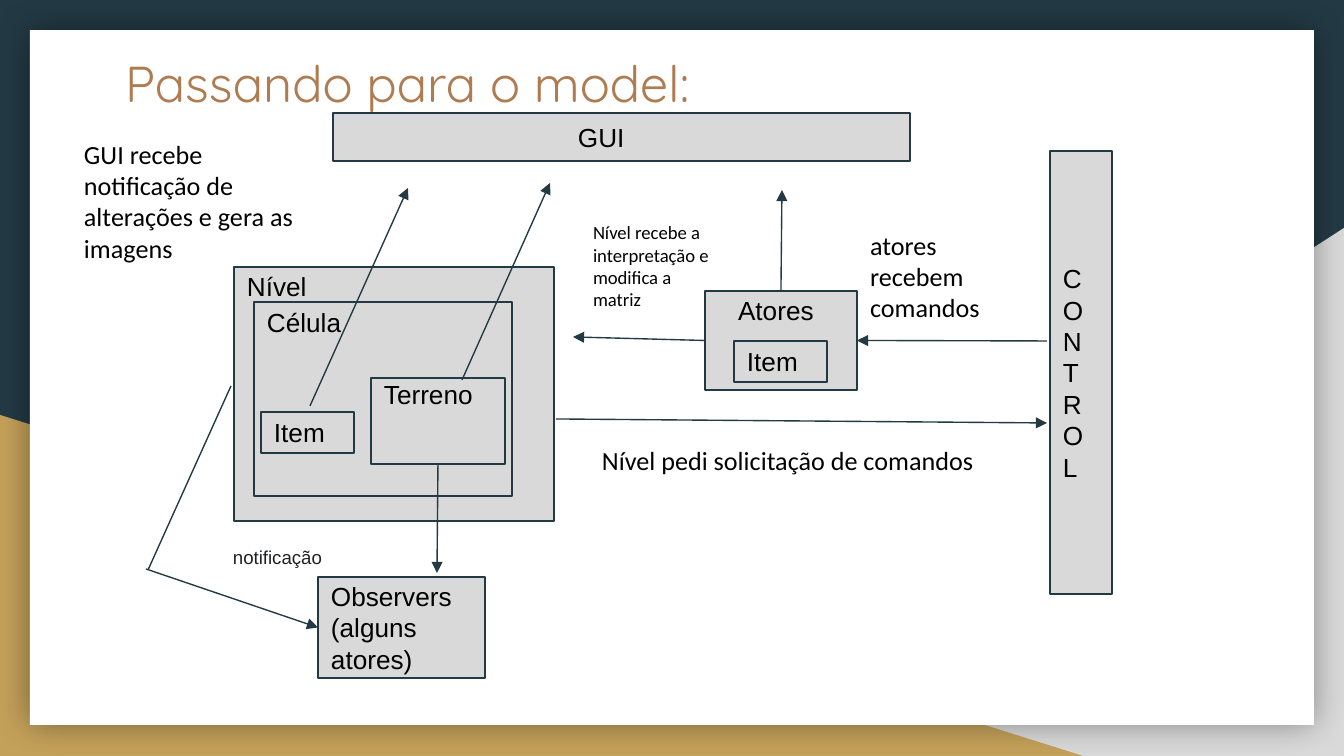
from dataclasses import dataclass

from lxml.etree import SubElement
from pptx import Presentation
from pptx.dml.color import RGBColor
from pptx.enum.shapes import MSO_CONNECTOR, MSO_SHAPE
from pptx.enum.text import MSO_ANCHOR, PP_ALIGN
from pptx.oxml.ns import qn
from pptx.util import Pt

SCALE = 9144000 / 1344  # EMU per px
TOP, LEFT, BOTTOM, RIGHT = 0, 1, 2, 3


@dataclass(frozen=True)
class Theme:
    dark: str = "233A44"
    gray: str = "D9D9D9"
    gold: str = "C4A15A"
    white: str = "FFFFFF"
    black: str = "000000"
    brown: str = "AF7B51"
    soft: str = "202124"
    head: float = 27
    body: float = 14
    small: float = 10
    rule: float = 0.75
    inset: int = 13


def emu(px):
    return round(px * SCALE)


def color(code):
    return RGBColor.from_string(code)


def apply(target, values):
    for name, value in values.items():
        setattr(target, name, value)


class Board:
    def __init__(self, slide, theme):
        self.slide, self.theme = slide, theme
        fill = slide.background.fill
        fill.solid()
        fill.fore_color.rgb = color(theme.dark)

    def shape(self, kind, area, fill):
        form = self.slide.shapes.add_shape(kind, *map(emu, area))
        form.shadow.inherit = False
        form.fill.solid()
        form.fill.fore_color.rgb = color(fill)
        form.line.fill.background()
        return form

    def wedge(self, area, fill, flip=False):
        form = self.shape(MSO_SHAPE.RIGHT_TRIANGLE, area, fill)
        if flip:
            form.element.spPr.get_or_add_xfrm().set("flipH", "1")

    def panel(self, area):
        form = self.shape(MSO_SHAPE.RECTANGLE, area, self.theme.white)
        effects = form.element.spPr.find(qn("a:effectLst"))
        glow = SubElement(effects, qn("a:outerShdw"), blurRad=str(Pt(18)),
                          dist="0", dir="0", algn="ctr", rotWithShape="0")
        tint = SubElement(glow, qn("a:srgbClr"), val=self.theme.black)
        SubElement(tint, qn("a:alpha"), val="40000")

    def letter(self, frame, lines, font, size, ink, left=None, top=None, gap=None):
        pad = emu(self.theme.inset)
        apply(frame, {
            "word_wrap": True,
            "vertical_anchor": MSO_ANCHOR.TOP,
            "margin_left": pad if left is None else emu(left),
            "margin_top": pad if top is None else emu(top),
            "margin_right": pad,
            "margin_bottom": pad,
        })
        for i, line in enumerate(lines):
            para = frame.paragraphs[0] if i == 0 else frame.add_paragraph()
            apply(para, {"alignment": PP_ALIGN.LEFT, "line_spacing": gap})
            run = para.add_run()
            run.text = line
            apply(run.font, {"name": font, "size": Pt(size)})
            run.font.color.rgb = color(ink)

    def box(self, area, *lines, left=None, top=None):
        """Box with centred text, or text pinned at the given top inset."""
        look = self.theme
        form = self.shape(MSO_SHAPE.RECTANGLE, area, look.gray)
        form.line.color.rgb = color(look.dark)
        form.line.width = Pt(look.rule)
        self.letter(form.text_frame, lines, "Arial", look.body, look.black, left, top)
        if top is None:
            form.text_frame.vertical_anchor = MSO_ANCHOR.MIDDLE
        return form

    def text(self, area, words, size=None, font="Calibri", ink=None, gap=None):
        label = self.slide.shapes.add_textbox(*map(emu, area))
        self.letter(label.text_frame, [words], font, size or self.theme.body,
                    ink or self.theme.black, gap=gap)

    def line(self, start, end, arrow=True):
        """Each end is an (x, y) point or a (box, side) pair."""
        free = [isinstance(spot[0], int) for spot in (start, end)]
        a = start if free[0] else (0, 0)
        b = end if free[1] else (0, 0)
        link = self.slide.shapes.add_connector(
            MSO_CONNECTOR.STRAIGHT, *map(emu, (*a, *b)))
        if not free[0]:
            link.begin_connect(*start)
        if not free[1]:
            link.end_connect(*end)
        link.line.color.rgb = color(self.theme.dark)
        link.line.width = Pt(self.theme.rule)
        props = link.element.spPr
        if arrow:
            SubElement(props.find(qn("a:ln")), qn("a:tailEnd"), type="triangle")
        SubElement(props, qn("a:effectLst"))


def main():
    deck = Presentation()
    apply(deck, {"slide_width": emu(1344), "slide_height": emu(756)})
    look = Theme()
    board = Board(deck.slides.add_slide(deck.slide_layouts[6]), look)

    # Backdrop and title
    board.wedge((527, 228, 817, 528), look.gray, flip=True)
    board.wedge((0, 415, 1083, 341), look.gold)
    board.panel((30, 30, 1284, 695))
    board.text((112, 39, 1103, 140), "Passando para o model:",
               look.head, "Quicksand", look.brown)

    # Model boxes, outer to inner
    board.box((234, 267, 320, 254), "Nível", top=3)
    board.box((254, 302, 258, 194), "Célula", top=4)
    ground = board.box((371, 378, 134, 86), "Terreno", top=0)
    board.box((261, 412, 93, 41), "Item")
    watch = board.box((318, 577, 167, 101), "Observers", "(alguns atores)")

    # View, actors and control
    board.box((333, 113, 577, 48), "GUI", left=245)
    cast = board.box((705, 291, 152, 99), "Atores", left=33, top=3)
    board.box((734, 341, 93, 41), "Item")
    board.box((1050, 151, 62, 443), *"CONTROL")

    # Notices to the observers
    board.line((ground, BOTTOM), (437, 573))
    board.line((148, 570), (231, 386), arrow=False)
    board.line((146, 569), (watch, LEFT))

    # Notices to the view
    board.line((310, 406), (408, 188))
    board.line((462, 380), (550, 183))
    board.line((cast, TOP), (782, 190))

    # Commands
    board.line((1047, 341), (cast, RIGHT))
    board.line((cast, LEFT), (573, 337))
    board.line((556, 419), (1047, 423))

    # Captions
    board.text((220, 526, 258, 89), "notificação", look.small, "Arial",
               look.soft, gap=1.29)
    board.text((589, 431, 425, 90), "Nível pedi solicitação de comandos")
    board.text((857, 216, 146, 122), "atores recebem comandos")
    board.text((580, 208, 146, 149),
               "Nível recebe a interpretação e modifica a matriz", look.small)
    board.text((71, 125, 258, 153),
               "GUI recebe notificação de alterações e gera as imagens")

    deck.save("out.pptx")


if __name__ == "__main__":
    main()
